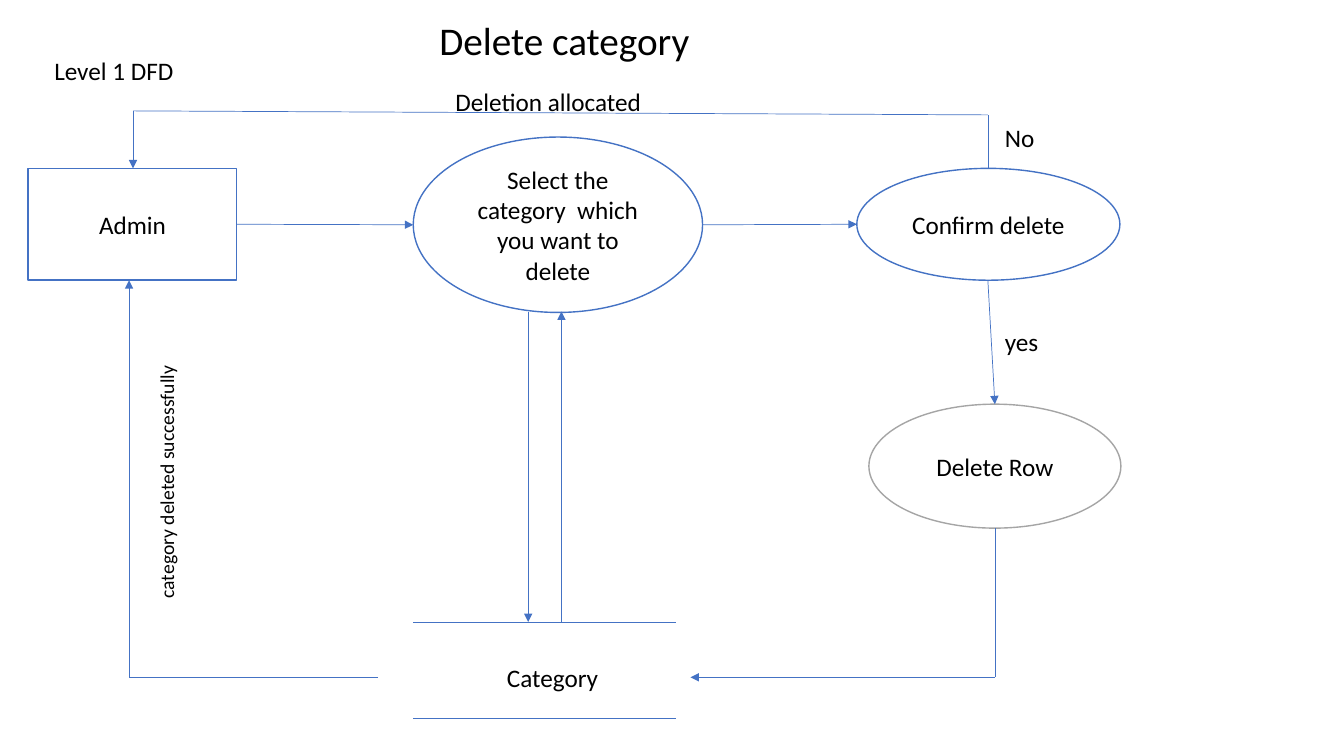
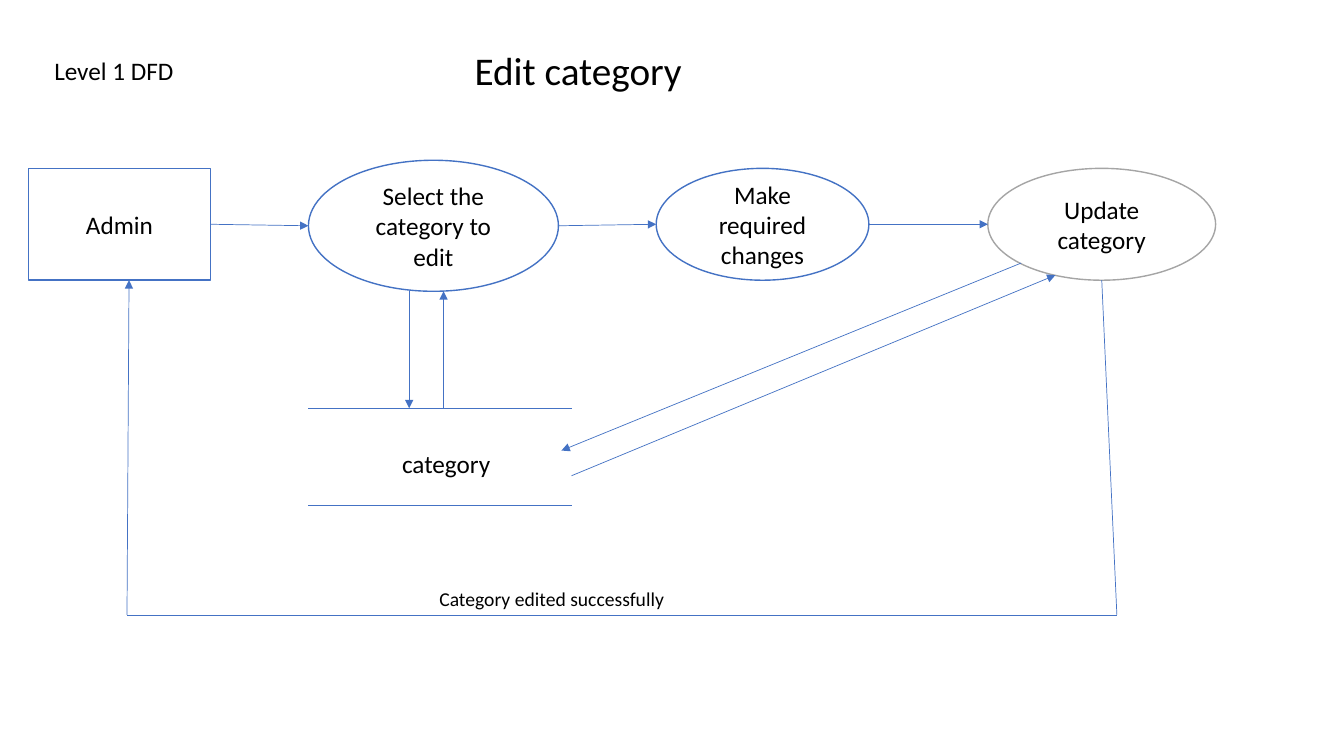
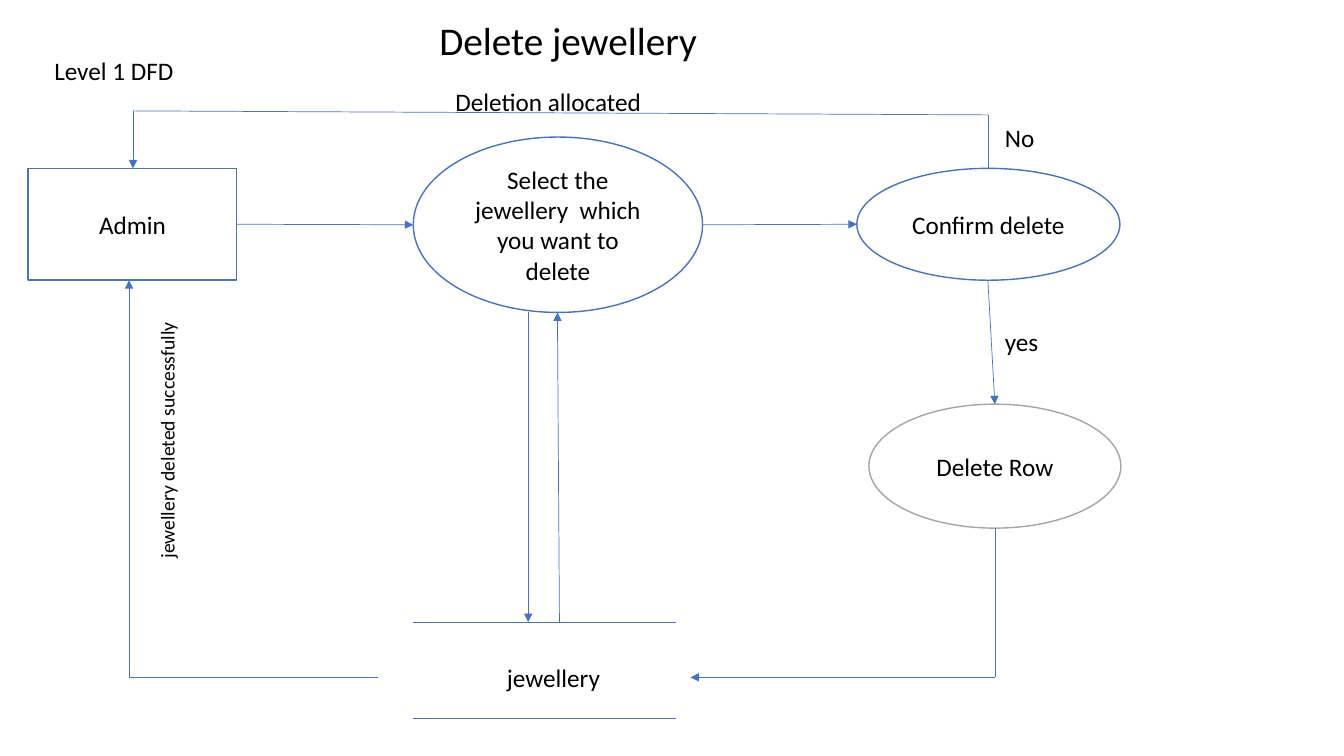
"""Builds three data flow diagrams on a grid of tenth-inch cells."""
import pptx
import pptx.dml.color
import pptx.enum.shapes
import pptx.enum.text
import pptx.oxml
import pptx.util

KIND = pptx.enum.shapes.MSO_SHAPE
ALIGN = pptx.enum.text.PP_ALIGN
MID = pptx.enum.text.MSO_ANCHOR.MIDDLE
GROW = pptx.enum.text.MSO_AUTO_SIZE.SHAPE_TO_FIT_TEXT
NS = 'xmlns:a="http://schemas.openxmlformats.org/drawingml/2006/main"'


def hue(code):
    return pptx.dml.color.RGBColor.from_string(code)


def cell(count):
    return pptx.util.Inches(count / 10)


def write(shape, text, size=18, align=ALIGN.LEFT, color="000000", font="Calibri"):
    frame = shape.text_frame
    frame.word_wrap = True
    para = frame.paragraphs[0]
    para.alignment = align
    run = para.add_run()
    run.text = text
    run.font.size = pptx.util.Pt(size)
    run.font.name = font
    run.font.color.rgb = hue(color)
    return frame


def spot(box, across, down):
    left, top, wide, high = box
    return left + wide * across, top + high * down


class Chart:
    """Holds the style and the current slide of the deck."""

    blue = "4472C4"
    gray = "A5A5A5"
    white = "FFFFFF"

    def __init__(self):
        self.deck = pptx.Presentation()
        self.deck.slide_width = cell(133.33)
        self.deck.slide_height = cell(75)

    def start(self, title, left, top, wide):
        page = self.deck.slides.add_slide(self.deck.slide_layouts[6])
        self.shapes = page.shapes
        self.label("Level 1 DFD", 4.4, 5, 15)
        self.label(title, left, top, wide, high=5.7, size=28)

    def label(self, text, left, top, wide, high=4, size=18, turn=0):
        box = self.shapes.add_textbox(*map(cell, (left, top, wide, high)))
        box.rotation = turn
        write(box, text, size=size).auto_size = GROW

    def node(self, text, *box, kind=KIND.OVAL, color=blue):
        shape = self.shapes.add_shape(kind, *map(cell, box))
        shape.shadow.inherit = False
        shape.fill.solid()
        shape.fill.fore_color.rgb = hue(self.white)
        shape.line.color.rgb = hue(color)
        shape.line.width = pptx.util.Pt(1)
        write(shape, text, align=ALIGN.CENTER).vertical_anchor = MID
        return box

    def admin(self, wide):
        return self.node("Admin", 2.8, 16.7, wide, 11.1, kind=KIND.RECTANGLE)

    def line(self, start, end, tip=False):
        link = self.shapes.add_connector(
            pptx.enum.shapes.MSO_CONNECTOR.STRAIGHT, *map(cell, start + end))
        link.line.color.rgb = hue(self.blue)
        link.line.width = pptx.util.Pt(0.5)
        if tip:
            head = pptx.oxml.parse_xml(f'<a:tailEnd {NS} type="triangle"/>')
            link.line._get_or_add_ln().append(head)
        flat = pptx.oxml.parse_xml(f"<a:effectLst {NS}/>")
        link._element.spPr.append(flat)

    def route(self, *spots):
        last = len(spots) - 1
        for step in range(last):
            self.line(spots[step], spots[step + 1], tip=step + 1 == last)

    def chain(self, *nodes):
        for left, right in zip(nodes, nodes[1:]):
            self.route(spot(left, 1, 0.5), spot(right, 0, 0.5))

    def store(self, text, left, top):
        for edge in (top, top + 9.6):
            self.line((left, edge), (left + 26.1, edge))
        self.label(text, left + 8.3, top + 3.5, 11.9)

    def remove(self, item, name, back, note):
        self.start(f"Delete {item}", 42.6, 1.1, 28)
        admin = self.admin(20.7)
        pick = self.node(f"Select the {item}  which you want to delete",
                         41, 13.6, 28.7, 17.4)
        check = self.node("Confirm delete", 85, 16.7, 26.1, 11.1)
        drop = self.node("Delete Row", 86.2, 40.1, 25, 12.3, color=self.gray)
        self.chain(admin, pick, check)
        self.store(name, 41, 61.7)
        self.route((52.4, 31), (52.4, 61.7))
        self.route(*back)
        self.route((98, 27.8), spot(drop, 0.5, 0))
        self.route(spot(drop, 0.5, 1), (98.7, 67.2), (68.5, 67.2))
        self.route((37.5, 67.2), (12.8, 67.2), (12.8, 27.8))
        self.route((98, 16.7), (98, 11.4), (13.2, 11), (13.2, 16.7))
        self.label("yes", 98.7, 31.9, 6.1)
        self.label("No", 98.7, 11.6, 6.3)
        self.label("Deletion allocated", 44.2, 8.1, 22.1)
        self.label(f"{item} deleted successfully", *note,
                   high=3.4, size=14, turn=270)

    def edit(self):
        self.start("Edit category", 46.1, 4.1, 24)
        admin = self.admin(18.1)
        pick = self.node("Select the category to edit", 30.6, 15.9, 24.8, 13)
        change = self.node("Make required changes", 65.1, 16.7, 21.1, 11.1)
        save = self.node("Update category", 98, 16.7, 22.6, 11.1, color=self.gray)
        self.chain(admin, pick, change, save)
        self.store("category", 30.6, 40.5)
        self.route((40.6, 28.9), (40.6, 40.5))
        self.route((44, 40.5), (44, 28.9))
        self.route((56.7, 47.2), (104.7, 27.3))
        self.route((101.3, 26.1), (55.7, 44.7))
        self.route(spot(save, 0.5, 1), (110.8, 61), (12.6, 61), (12.8, 27.8))
        self.label("Category edited successfully", 42.6, 57.7, 26.3,
                   high=3.4, size=14)


def main():
    chart = Chart()
    chart.remove("category", "Category", ((55.7, 61.7), (55.7, 30.9)),
                 (3.9, 46, 25.3))
    chart.edit()
    chart.remove("jewellery", "jewellery", ((55.5, 61.7), (55.3, 31)),
                 (3.4, 41.5, 26.4))
    chart.deck.save("out.pptx")


if __name__ == "__main__":
    main()
